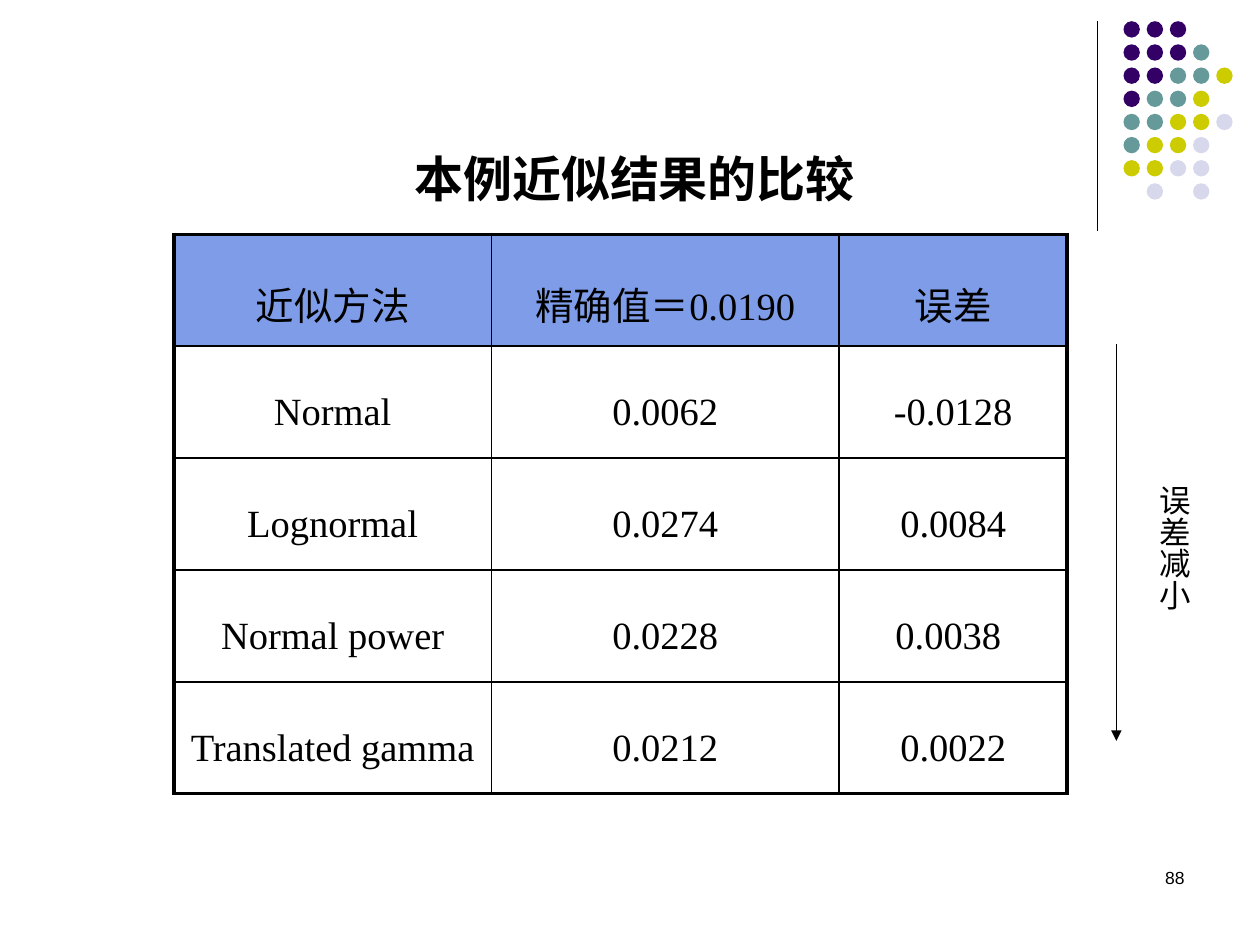
import pptx
import pptx.dml.color
import pptx.enum.shapes
import pptx.enum.text
import pptx.oxml.ns
import pptx.util
import lxml.etree

THEME = {
    "ink": "000000", "header": "7E9CE8",
    "dots": {"P": "330066", "T": "669999", "Y": "CCCC00", "L": "D8D8EC"},
    "serif": "Times New Roman", "sans": "Arial",
    "title": 28, "cell": 22, "label": 18, "number": 10,
    "thin": 0.75, "inner": 1, "outer": 2.25,
}
ALIGN = pptx.enum.text.PP_ALIGN
color = pptx.dml.color.RGBColor.from_string
qn = pptx.oxml.ns.qn

deck = pptx.Presentation()
deck.slide_width = pptx.util.Inches(10)
deck.slide_height = pptx.util.Inches(7.5)
page = deck.slides.add_slide(deck.slide_layouts[6])
COL = deck.slide_width / 100
ROW = deck.slide_height / 100


def write(frame, text, size, font=THEME["serif"], bold=False, align=ALIGN.LEFT,
          spacing=None, before=None, wrap=True):
    frame.word_wrap = wrap
    para = frame.paragraphs[0]
    para.alignment = align
    para.line_spacing = spacing
    para.space_before = before
    span = para.add_run()
    span.text = text
    span.font.size = pptx.util.Pt(size)
    span.font.name = font
    span.font.bold = bold
    span.font.color.rgb = color(THEME["ink"])


def place(left, top, width, height):
    return int(left * COL), int(top * ROW), int(width * COL), int(height * ROW)


for left, top, bottom, arrow in [(87.1, 2.27, 24.4, False), (88.6, 36.4, 78.4, True)]:
    line = page.shapes.add_connector(
        pptx.enum.shapes.MSO_CONNECTOR.STRAIGHT, *place(left, top, left, bottom))
    line.line.color.rgb = color(THEME["ink"])
    line.line.width = pptx.util.Pt(THEME["thin"])
    if arrow:
        lxml.etree.SubElement(line.line._get_or_add_ln(), qn("a:tailEnd"), type="triangle")
    lxml.etree.SubElement(line._element.spPr, qn("a:effectLst"))

pattern = ["PPP", "PPPT", "PPTTY", "PTTY", "TTYYL", "TYYL", "YYLL", " L L"]
for row, marks in enumerate(pattern):
    for column, mark in enumerate(marks):
        if mark == " ":
            continue
        dot = page.shapes.add_shape(
            pptx.enum.shapes.MSO_SHAPE.OVAL,
            *place(89.17 + 1.84 * column, 2.24 + 2.45 * row, 1.3, 1.74))
        dot.shadow.inherit = False
        dot.fill.solid()
        dot.fill.fore_color.rgb = color(THEME["dots"][mark])
        dot.line.fill.background()

box = page.shapes.add_textbox(*place(71.7, 91.07, 23.3, 6.67))
write(box.text_frame, "88", THEME["number"], font=THEME["sans"], align=ALIGN.RIGHT)

box = page.shapes.add_textbox(*place(31.9, 15.07, 37.2, 7.6))
write(box.text_frame, "本例近似结果的比较", THEME["title"], bold=True, wrap=False)

box = page.shapes.add_textbox(*place(90.2, 50, 5, 14.67))
write(box.text_frame, "误差减小", THEME["label"], wrap=False)
box.text_frame._txBody.bodyPr.set("vert", "eaVert")

records = [
    ("近似方法", "精确值＝0.0190", "误差"),
    ("Normal", "0.0062", "-0.0128"),
    ("Lognormal", "0.0274", "0.0084"),
    ("Normal power", "0.0228", "0.0038 "),
    ("Translated gamma", "0.0212", "0.0022"),
]
widths = [25.2, 27.6, 18.1]
last_row, last_column = len(records) - 1, len(widths) - 1
table = page.shapes.add_table(
    len(records), len(widths), *place(13.8, 24.8, sum(widths), 59.2)).table
table.first_row = False
table.horz_banding = False
for column, width in enumerate(widths):
    table.columns[column].width = int(width * COL)

for row, record in enumerate(records):
    for column, text in enumerate(record):
        cell = table.cell(row, column)
        cell.vertical_anchor = pptx.enum.text.MSO_ANCHOR.MIDDLE
        write(cell.text_frame, text, THEME["cell"], align=ALIGN.CENTER, spacing=1.5,
              before=pptx.util.Pt(THEME["cell"] * 0.2))
        edges = {"lnL": column == 0, "lnR": column == last_column,
                 "lnT": row == 0, "lnB": row == last_row}
        for edge, outside in edges.items():
            weight = pptx.util.Pt(THEME["outer" if outside else "inner"])
            border = lxml.etree.SubElement(
                cell._tc.get_or_add_tcPr(), qn("a:" + edge), w=str(weight))
            fill = lxml.etree.SubElement(border, qn("a:solidFill"))
            lxml.etree.SubElement(fill, qn("a:srgbClr"), val=THEME["ink"])
        if row == 0:
            cell.fill.solid()
            cell.fill.fore_color.rgb = color(THEME["header"])
        else:
            cell.fill.background()

deck.save("out.pptx")
